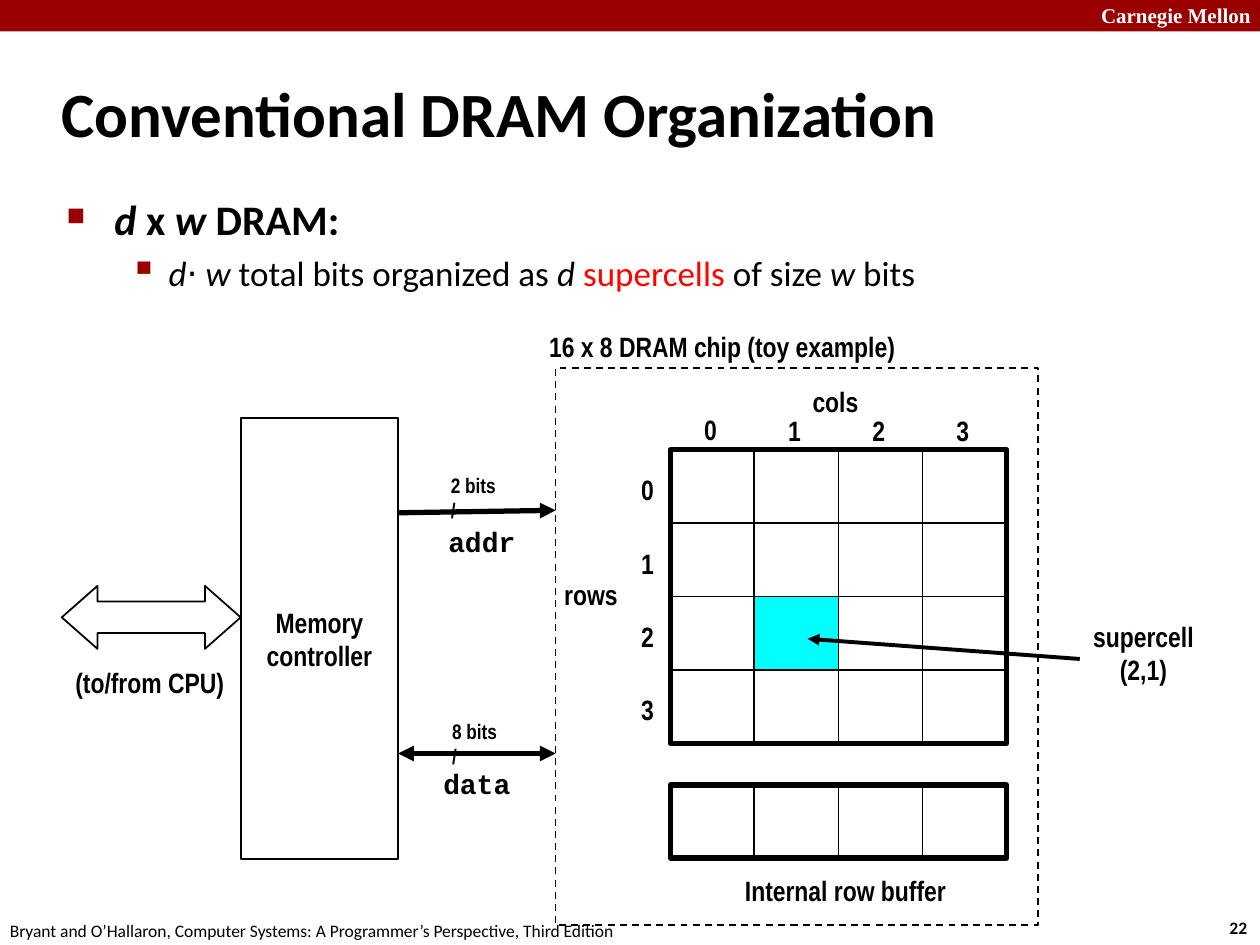
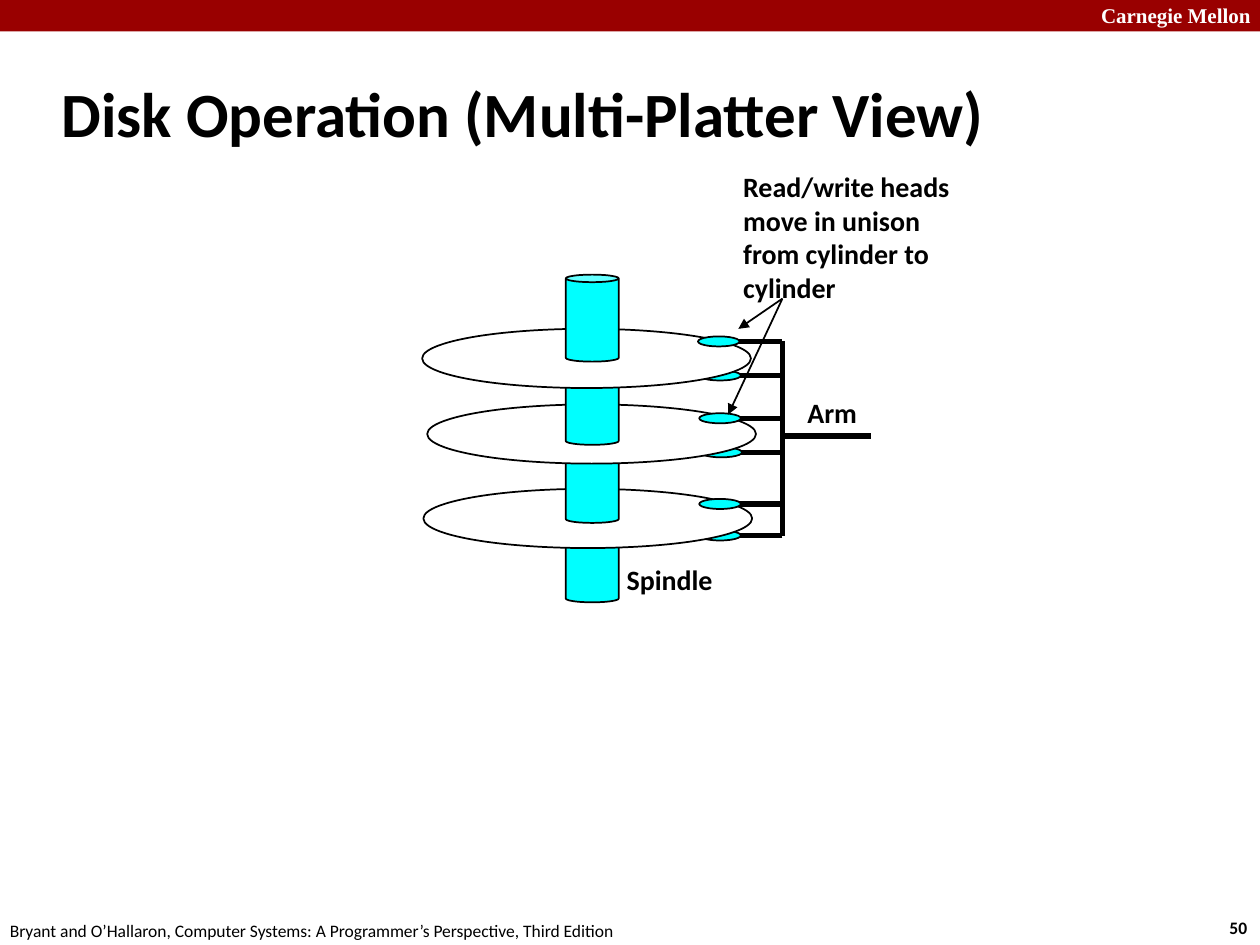
from dataclasses import dataclass, replace

from lxml.etree import SubElement
from pptx import Presentation
from pptx.dml.color import RGBColor
from pptx.enum.dml import MSO_LINE
from pptx.enum.shapes import MSO_CONNECTOR, MSO_SHAPE
from pptx.enum.text import MSO_ANCHOR, MSO_AUTO_SIZE, PP_ALIGN
from pptx.oxml.ns import qn
from pptx.shapes.autoshape import Shape
from pptx.slide import Slide
from pptx.text.text import TextFrame
from pptx.util import Inches, Pt


@dataclass(frozen=True)
class TextStyle:
    name: str
    size: float
    bold: bool = True
    color: str = "000000"
    italic: bool = False


@dataclass(frozen=True)
class Theme:
    band: str = "990000"
    black: str = "000000"
    white: str = "FFFFFF"
    highlight: str = "00FFFF"
    thin: float = 1
    medium: float = 2.25
    thick: float = 3
    title: TextStyle = TextStyle("Calibri", 36)
    heading: TextStyle = TextStyle("Calibri", 24)
    detail: TextStyle = TextStyle("Calibri", 20, bold=False)
    keyword: TextStyle = TextStyle("Calibri", 20, bold=False, color="FF0000")
    brand: TextStyle = TextStyle("Times New Roman", 12, color="FFFFFF")
    footer: TextStyle = TextStyle("Calibri", 10, bold=False)
    number: TextStyle = TextStyle("Calibri", 10)
    diagram: TextStyle = TextStyle("Arial Narrow", 16)
    width_note: TextStyle = TextStyle("Arial Narrow", 12)
    code: TextStyle = TextStyle("Courier New", 16)
    callout: TextStyle = TextStyle("Calibri", 16)


THEME = Theme()
FOOTER = "Bryant and O’Hallaron, Computer Systems: A Programmer’s Perspective, Third Edition"


@dataclass(frozen=True)
class Area:
    left: float
    top: float
    width: float
    height: float

    def lengths(self) -> list[int]:
        return [Inches(value) for value in (self.left, self.top, self.width, self.height)]


@dataclass(frozen=True)
class Label:
    text: str
    area: Area
    style: TextStyle = THEME.diagram
    align: PP_ALIGN = PP_ALIGN.LEFT
    anchor: MSO_ANCHOR = MSO_ANCHOR.MIDDLE
    wrap: bool = False


@dataclass(frozen=True)
class Link:
    start: tuple[float, float]
    end: tuple[float, float]
    weight: float = THEME.thick
    head: bool = False
    tail: bool = False


@dataclass(frozen=True)
class Bullet:
    spans: tuple[tuple[str, TextStyle], ...]
    mark: str
    mark_percent: int
    margin: float
    hanging: float
    before: float = 0


@dataclass(frozen=True)
class Platter:
    left: float
    top: float
    upper_head: tuple[float, float]
    lower_head: tuple[float, float]


def add_span(para, text: str, style: TextStyle) -> None:
    span = para.add_run()
    span.text = text
    formats = {"name": style.name, "size": Pt(style.size), "bold": style.bold, "italic": style.italic}
    for key, value in formats.items():
        setattr(span.font, key, value)
    span.font.color.rgb = RGBColor.from_string(style.color)


def write_lines(frame: TextFrame, label: Label) -> None:
    frame.word_wrap = label.wrap
    frame.vertical_anchor = label.anchor
    for index, line in enumerate(label.text.split("\n")):
        para = frame.add_paragraph() if index else frame.paragraphs[0]
        para.alignment = label.align
        add_span(para, line, label.style)


def add_label(page: Slide, label: Label) -> None:
    frame = page.shapes.add_textbox(*label.area.lengths()).text_frame
    frame.auto_size = MSO_AUTO_SIZE.SHAPE_TO_FIT_TEXT
    write_lines(frame, label)


def add_figure(page: Slide, kind: MSO_SHAPE, area: Area, fill: str | None = THEME.white,
               weight: float = THEME.thin, adjustments: tuple[float, ...] = ()) -> Shape:
    """Draw an outlined preset shape; a weight of 0 leaves the outline out."""
    figure = page.shapes.add_shape(kind, *area.lengths())
    figure.shadow.inherit = False
    for index, value in enumerate(adjustments):
        figure.adjustments[index] = value
    if fill:
        figure.fill.solid()
        figure.fill.fore_color.rgb = RGBColor.from_string(fill)
    else:
        figure.fill.background()
    if weight:
        figure.line.width = Pt(weight)
        figure.line.color.rgb = RGBColor.from_string(THEME.black)
    else:
        figure.line.fill.background()
    return figure


def add_link(page: Slide, link: Link) -> None:
    points = [Inches(value) for value in (*link.start, *link.end)]
    connector = page.shapes.add_connector(MSO_CONNECTOR.STRAIGHT, *points)
    connector.line.width = Pt(link.weight)
    connector.line.color.rgb = RGBColor.from_string(THEME.black)
    outline = connector.line._get_or_add_ln()
    for tag, wanted in (("a:headEnd", link.head), ("a:tailEnd", link.tail)):
        if wanted:
            SubElement(outline, qn(tag), type="triangle")
    SubElement(connector._element.spPr, qn("a:effectLst"))


def add_bullets(page: Slide, area: Area, bullets: list[Bullet]) -> None:
    frame = page.shapes.add_textbox(*area.lengths()).text_frame
    frame.word_wrap = True
    for index, bullet in enumerate(bullets):
        para = frame.add_paragraph() if index else frame.paragraphs[0]
        para.level = index
        properties = para._p.get_or_add_pPr()
        properties.set("marL", str(Inches(bullet.margin)))
        properties.set("indent", str(-Inches(bullet.hanging)))
        SubElement(SubElement(properties, qn("a:buClr")), qn("a:srgbClr"), val=THEME.band)
        SubElement(properties, qn("a:buSzPct"), val=str(bullet.mark_percent * 1000))
        SubElement(properties, qn("a:buChar"), char=bullet.mark)
        if bullet.before:
            para.space_before = Pt(bullet.before)
        for text, style in bullet.spans:
            add_span(para, text, style)


def add_page(deck, title: str, number: int) -> Slide:
    """Add a blank page with the shared band, footer and title."""
    page = deck.slides.add_slide(deck.slide_layouts[6])
    add_figure(page, MSO_SHAPE.RECTANGLE, Area(0, 0, 10, 0.25), THEME.band, weight=0)
    top = MSO_ANCHOR.TOP
    for label in (
        Label("Carnegie Mellon", Area(8.64, -0.03, 1.43, 0.3), THEME.brand, anchor=top, wrap=True),
        Label(str(number), Area(9.66, 7.23, 0.37, 0.27), THEME.number, anchor=top),
        Label(FOOTER, Area(-0.02, 7.25, 5.08, 0.27), THEME.footer, anchor=top),
    ):
        add_label(page, label)
    title_area = Area(0.39, 0.48, 8.3, 0.83)
    frame = page.shapes.add_textbox(*title_area.lengths()).text_frame
    write_lines(frame, Label(title, title_area, THEME.title, wrap=True))
    return page


def add_cell_grid(page: Slide, area: Area, rows: int, columns: int,
                  highlighted: tuple[int, int] | None = None) -> None:
    """Draw equal cells and a thick frame around them."""
    width, height = area.width / columns, area.height / rows
    for row in range(rows):
        for column in range(columns):
            cell = Area(area.left + column * width, area.top + row * height, width, height)
            fill = THEME.highlight if (row, column) == highlighted else THEME.white
            add_figure(page, MSO_SHAPE.RECTANGLE, cell, fill)
    add_figure(page, MSO_SHAPE.RECTANGLE, area, None, THEME.thick)


def build_dram_page(deck) -> None:
    page = add_page(deck, "Conventional DRAM Organization", 22)
    heading, detail = THEME.heading, THEME.detail
    heading_italic, detail_italic = replace(heading, italic=True), replace(detail, italic=True)
    add_bullets(page, Area(0.43, 1.49, 8.64, 5.44), [
        Bullet((("d ", heading_italic), ("x ", heading), ("w", heading_italic), (" DRAM:", heading)),
               "■", 60, 0.38, 0.38),
        Bullet((("d⋅ w", detail_italic), (" total bits organized as ", detail), ("d ", detail_italic),
                ("supercells", THEME.keyword), (" of size ", detail), ("w", detail_italic),
                (" bits", detail)),
               "▪", 110, 0.81, 0.31, before=4),
    ])

    cells = Area(5.32, 3.57, 2.67, 2.33)
    add_cell_grid(page, cells, 4, 4, highlighted=(2, 1))
    add_cell_grid(page, Area(5.32, 6.23, 2.67, 0.58), 1, 4)
    for index in range(4):
        column_left = cells.left + 0.17 + index * cells.width / 4
        row_top = cells.top + 0.13 + index * cells.height / 4
        add_label(page, Label(str(index), Area(column_left, 3.23 if index else 3.22, 0.32, 0.37)))
        add_label(page, Label(str(index), Area(4.99, row_top, 0.32, 0.37)))

    chip = add_figure(page, MSO_SHAPE.RECTANGLE, Area(4.41, 2.92, 3.83, 4.42), None)
    chip.line.dash_style = MSO_LINE.DASH
    controller_area = Area(1.91, 3.32, 1.25, 3.5)
    controller = add_figure(page, MSO_SHAPE.RECTANGLE, controller_area)
    write_lines(controller.text_frame,
                Label("Memory\ncontroller", controller_area, align=PP_ALIGN.CENTER))
    add_figure(page, MSO_SHAPE.LEFT_RIGHT_ARROW, Area(0.49, 4.65, 1.42, 0.5),
               adjustments=(0.5, 0.567))

    for link in (
        Link((3.16, 4.07), (4.41, 4.05), tail=True),
        Link((3.16, 5.98), (4.41, 5.98), head=True, tail=True),
        Link((8.57, 5.23), (6.41, 5.07), THEME.medium, tail=True),
    ):
        add_link(page, link)
    for label in (
        Label("cols", Area(6.35, 3, 0.65, 0.37)),
        Label("rows", Area(4.38, 4.53, 0.73, 0.37)),
        Label("Internal row buffer", Area(5.8, 6.88, 1.82, 0.37), align=PP_ALIGN.CENTER),
        Label("16 x 8 DRAM chip (toy example)", Area(4.26, 2.56, 2.97, 0.37)),
        Label("addr", Area(3.46, 4.11, 0.74, 0.37), THEME.code),
        Label("data", Area(3.42, 6.03, 0.74, 0.37), THEME.code),
        Label("supercell\n(2,1)", Area(8.57, 4.86, 1.01, 0.64), align=PP_ALIGN.CENTER),
        Label("2 bits\n/", Area(3.48, 3.7, 0.64, 0.5), THEME.width_note),
        Label("8 bits\n/", Area(3.49, 5.65, 0.64, 0.5), THEME.width_note),
        Label("(to/from CPU)", Area(0.5, 5.23, 1.4, 0.37)),
    ):
        add_label(page, label)


def add_head(page: Slide, left: float, middle: float, arm: float) -> None:
    """Draw a read/write head and the rod that joins it to the arm."""
    add_link(page, Link((arm, middle), (5.71, middle)))
    add_figure(page, MSO_SHAPE.OVAL, Area(left, middle - 0.04, 0.33, 0.08), THEME.highlight)


def add_spindle_part(page: Slide, top: float) -> None:
    add_figure(page, MSO_SHAPE.CAN, Area(4.49, top, 0.42, 0.69), THEME.highlight,
               adjustments=(0.142,))


def build_disk_page(deck) -> None:
    page = add_page(deck, "Disk Operation (Multi-Platter View)", 50)
    arm = 6.21
    platters_from_bottom = (
        Platter(3.36, 3.88, (5.55, 4.0), (5.55, 4.25)),
        Platter(3.39, 3.21, (5.55, 3.32), (5.56, 3.59)),
        Platter(3.35, 2.61, (5.54, 2.71), (5.55, 2.98)),
    )
    for platter in platters_from_bottom:
        add_head(page, *platter.lower_head, arm)
    for platter, spindle_top in zip(platters_from_bottom, (4.09, 3.46, 2.84)):
        add_spindle_part(page, spindle_top)
        add_figure(page, MSO_SHAPE.OVAL, Area(platter.left, platter.top, 2.61, 0.47))
    add_spindle_part(page, 2.18)
    for platter in platters_from_bottom:
        add_head(page, *platter.upper_head, arm)

    for link in (
        Link((arm, 2.71), (arm, 4.25)),
        Link((arm, 3.46), (6.91, 3.46)),
        Link((arm, 2.37), (5.86, 2.61), THEME.thin, tail=True),
        Link((arm, 2.37), (5.78, 3.29), THEME.thin, tail=True),
    ):
        add_link(page, link)
    for label in (
        Label("Arm", Area(6.31, 3.09, 0.61, 0.37), THEME.callout),
        Label("Read/write heads\nmove in unison\nfrom cylinder to cylinder",
              Area(5.8, 1.29, 2.41, 1.18), THEME.callout, wrap=True),
        Label("Spindle", Area(4.87, 4.41, 0.89, 0.37), THEME.callout, PP_ALIGN.CENTER),
    ):
        add_label(page, label)


def main() -> None:
    deck = Presentation()
    deck.slide_width, deck.slide_height = Inches(10), Inches(7.5)
    build_dram_page(deck)
    build_disk_page(deck)
    deck.save("out.pptx")


if __name__ == "__main__":
    main()
